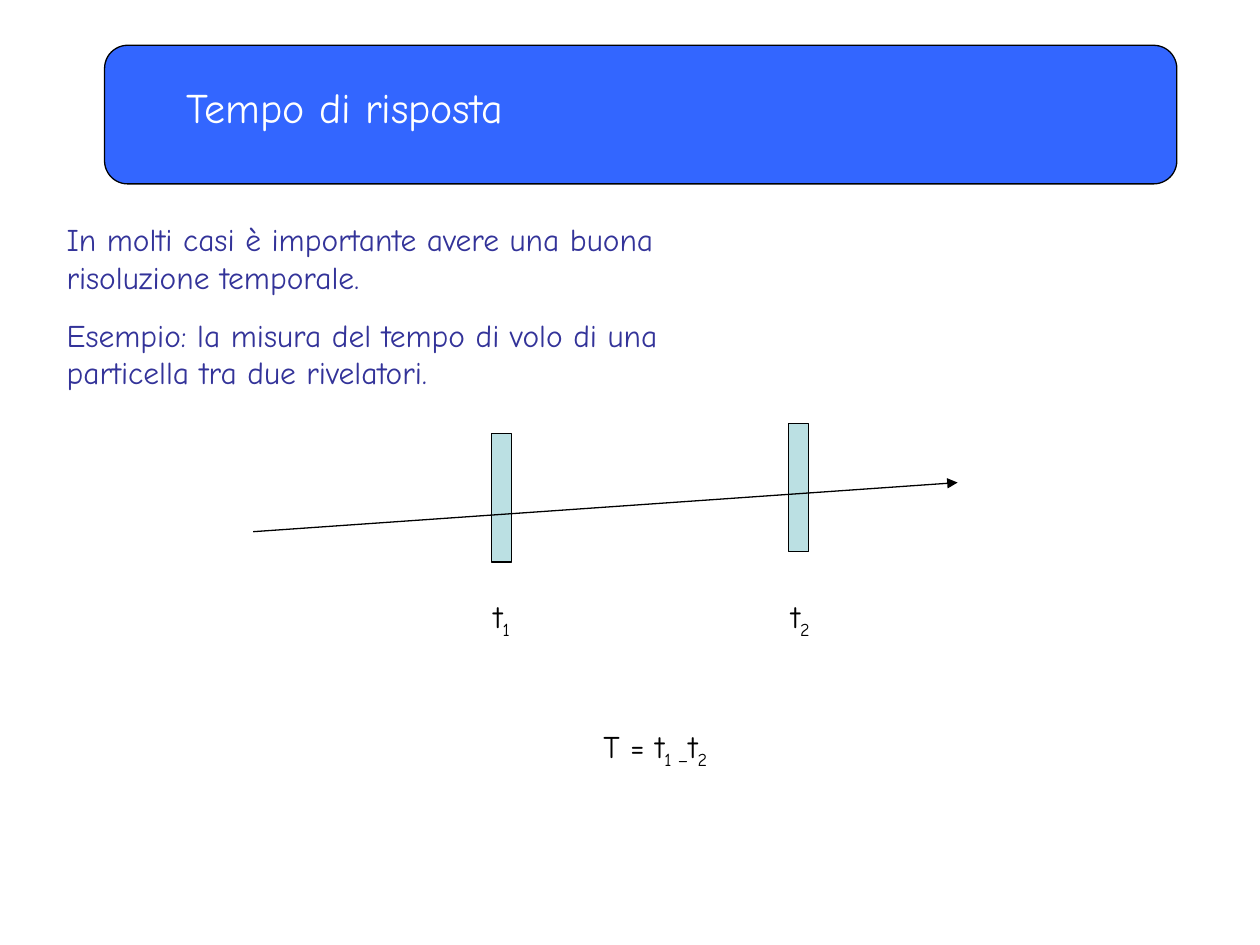
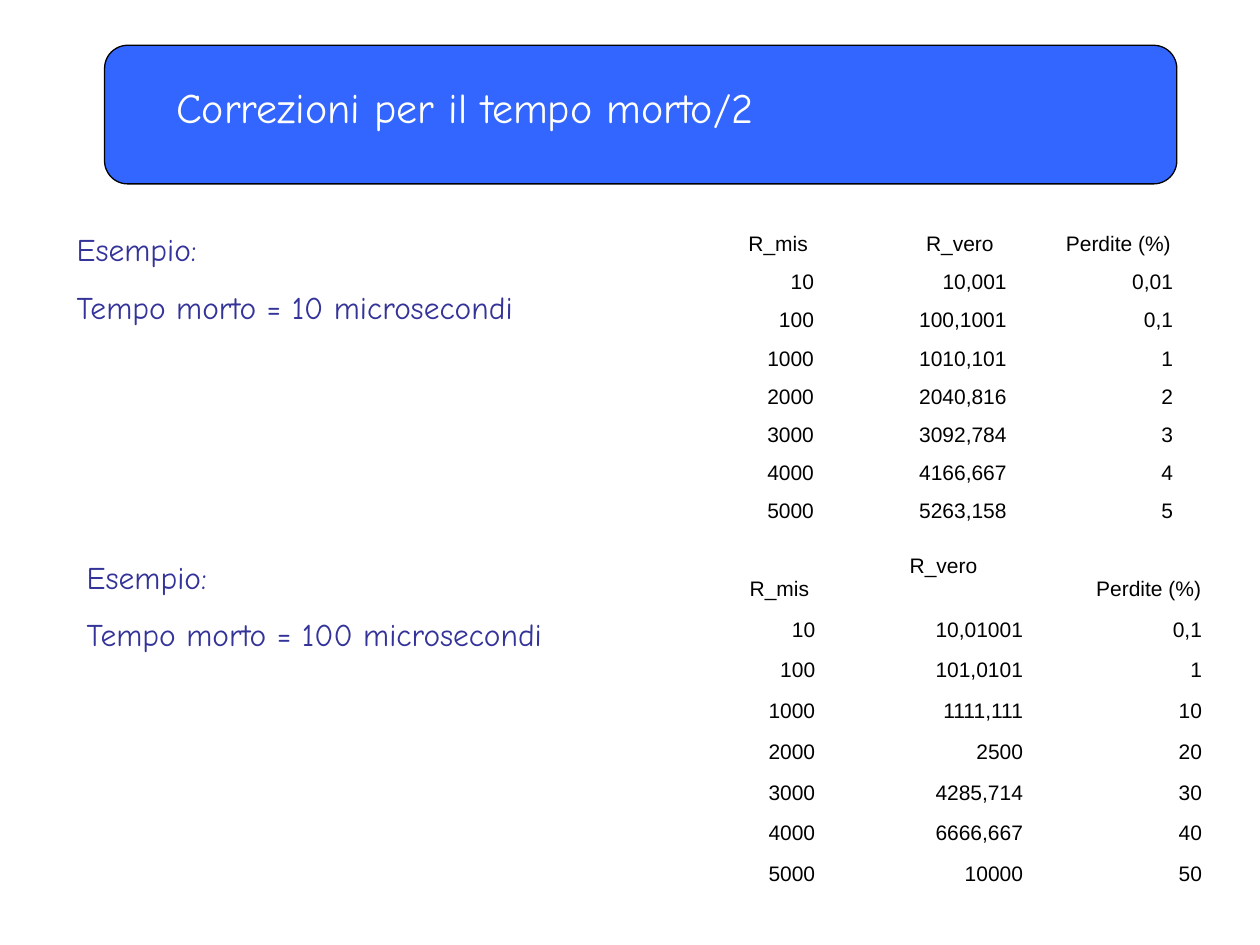
from dataclasses import dataclass

from lxml.etree import SubElement
from pptx import Presentation
from pptx.dml.color import RGBColor
from pptx.enum.shapes import MSO_CONNECTOR, MSO_SHAPE
from pptx.enum.text import MSO_ANCHOR, MSO_AUTO_SIZE, PP_ALIGN
from pptx.oxml.ns import qn
from pptx.util import Inches, Pt

WIDTH, HEIGHT = Inches(10), Inches(7.5)
COLUMN, ROW = WIDTH / 100, HEIGHT / 75

BAND_BLUE = RGBColor(0x33, 0x66, 0xFF)
TEXT_BLUE = RGBColor(0x33, 0x33, 0x99)
DETECTOR_TEAL = RGBColor(0xBB, 0xE0, 0xE3)
BLACK = RGBColor(0, 0, 0)
WHITE = RGBColor(0xFF, 0xFF, 0xFF)

TEXT_FONT, TABLE_FONT = "Comic Neue", "Arial"
SUBSCRIPT = "-25000"

MEASURED = ("10", "100", "1000", "2000", "3000", "4000", "5000")
HEADERS = ("R_mis", "R_vero", "Perdite (%)")


@dataclass
class Box:
    """A rectangle counted in grid columns and rows."""

    left: float
    top: float
    width: float
    height: float

    def inner(self, left, top, width, height):
        """Return a box placed relative to this one."""
        return Box(self.left + left, self.top + top, width, height)

    def lengths(self):
        """Return left, top, width and height as slide lengths."""
        return across(self.left), down(self.top), across(self.width), down(self.height)


def across(columns):
    """Convert grid columns to a length."""
    return round(columns * COLUMN)


def down(rows):
    """Convert grid rows to a length."""
    return round(rows * ROW)


def style_font(para, name, size, color):
    """Set the font shared by all runs of a paragraph."""
    para.font.name = name
    para.font.size = Pt(size)
    para.font.color.rgb = color


def add_text(page, box, paragraphs, size=18, color=BLACK):
    """Add a text box; each paragraph is a list of (text, is_subscript)."""
    frame = page.shapes.add_textbox(*box.lengths()).text_frame
    frame.word_wrap = True
    frame.auto_size = MSO_AUTO_SIZE.SHAPE_TO_FIT_TEXT
    for index, pieces in enumerate(paragraphs):
        para = frame.add_paragraph() if index else frame.paragraphs[0]
        if index:
            para.space_before = Pt(11.2)
        style_font(para, TEXT_FONT, size, color)
        for text, is_subscript in pieces:
            span = para.add_run()
            span.text = text
            if is_subscript:
                span._r.get_or_add_rPr().set("baseline", SUBSCRIPT)


def add_plain_text(page, box, lines, **style):
    """Add a text box with one unbroken run per paragraph."""
    add_text(page, box, [[(line, False)] for line in lines], **style)


def add_outlined(page, kind, box, color):
    """Add a filled shape with a thin black outline."""
    shape = page.shapes.add_shape(kind, *box.lengths())
    shape.shadow.inherit = False
    shape.fill.solid()
    shape.fill.fore_color.rgb = color
    shape.line.color.rgb = BLACK
    shape.line.width = Pt(0.75)
    return shape


def add_title_band(page, box, title, indent, width):
    """Draw the rounded title band with its title."""
    add_outlined(page, MSO_SHAPE.ROUNDED_RECTANGLE, box, BAND_BLUE)
    title_box = box.inner(indent, 2.4, width, 5)
    add_plain_text(page, title_box, [title], size=24, color=WHITE)


def add_track(page, box):
    """Draw the particle arrow from the lower left to the upper right."""
    left, top, width, height = box.lengths()
    track = page.shapes.add_connector(
        MSO_CONNECTOR.STRAIGHT, left, top + height, left + width, top)
    track.line.color.rgb = BLACK
    track.line.width = Pt(0.75)
    properties = track._element.spPr
    SubElement(properties.find(qn("a:ln")), qn("a:tailEnd"), type="triangle")
    SubElement(properties, qn("a:effectLst"))


def add_flight_diagram(page, box):
    """Draw two detectors, the particle track and the flight time."""
    detectors = (("1", 18.9, 0.8), ("2", 42.5, 0))
    for _, left, top in detectors:
        add_outlined(page, MSO_SHAPE.RECTANGLE,
                     box.inner(left, top, 1.6, 10.2), DETECTOR_TEAL)
    add_track(page, box.inner(0, 4.7, box.width, 3.9))
    for number, left, _ in detectors:
        add_text(page, box.inner(left - 0.8, 13.3, 4.7, 4.4),
                 [[("t", False), (number, True)]])
    add_text(page, box.inner(26.8, 23.6, 19.7, 9.4),
             [[("T = t", False), ("1 –", True), ("t", False), ("2", True)]])


def fill_cell(cell, text):
    """Write one transparent, bottom-anchored table cell."""
    cell.fill.background()
    cell.vertical_anchor = MSO_ANCHOR.BOTTOM
    para = cell.text_frame.paragraphs[0]
    para.text = text
    para.line_spacing = 0.93
    para.alignment = PP_ALIGN.RIGHT
    style_font(para, TABLE_FONT, 12, BLACK)


def add_rate_table(page, box, widths, header_height, indents, true_rates, losses):
    """Add a table of measured rates, true rates and losses."""
    rows = [HEADERS, *zip(MEASURED, true_rates, losses)]
    table = page.shapes.add_table(len(rows), len(HEADERS), *box.lengths()).table
    table.first_row = table.horz_banding = False
    for column, width in zip(table.columns, widths):
        column.width = across(width)
    body_height = (box.height - header_height) / len(MEASURED)
    for index, values in enumerate(rows):
        table.rows[index].height = down(body_height if index else header_height)
        for column, text in enumerate(values):
            fill_cell(table.cell(index, column), text)
    for column, indent in enumerate(indents):
        header = table.cell(0, column)
        header.margin_left = across(indent)
        header.margin_right = across(0.2)
        header.text_frame.paragraphs[0].alignment = PP_ALIGN.LEFT
    return table


def add_example(page, box, dead_time):
    """State the dead time of one example."""
    add_plain_text(page, box, ["Esempio:", f"Tempo morto = {dead_time} microsecondi"],
                   color=TEXT_BLUE)


def build_response_slide(page, band):
    """Build the slide on response time."""
    add_title_band(page, band, "Tempo di risposta", 5.5, 51.2)
    add_plain_text(page, Box(4.3, 17, 57.5, 19.2), [
        "In molti casi è importante avere una buona risoluzione temporale.",
        "Esempio: la misura del tempo di volo di una particella tra due rivelatori.",
    ], color=TEXT_BLUE)
    add_flight_diagram(page, Box(20.1, 33.6, 55.9, 33))


def build_dead_time_slide(page, band):
    """Build the slide with the two dead time examples."""
    add_title_band(page, band, "Correzioni per il tempo morto/2", 4.7, 55.1)
    add_example(page, Box(5.1, 17.8, 41.7, 8.6), 10)
    add_example(page, Box(5.9, 43.8, 41.7, 8.6), 100)
    long_table = add_rate_table(
        page, Box(51.6, 43, 44.8, 27.8), (14.1, 16.5, 14.2), 5.2, (7.9, 6.5, 4.8),
        ("10,01001", "101,0101", "1111,111", "2500", "4285,714", "6666,667", "10000"),
        ("0,1", "1", "10", "20", "30", "40", "50"))
    long_table.cell(0, 1).margin_bottom = down(2.3)
    add_rate_table(
        page, Box(52.4, 17.8, 41.7, 24.2), (13.2, 15.3, 13.2), 3.03, (7, 7.9, 3.7),
        ("10,001", "100,1001", "1010,101", "2040,816", "3092,784", "4166,667", "5263,158"),
        ("0,01", "0,1", "1", "2", "3", "4", "5"))


def main():
    """Build and save the deck."""
    deck = Presentation()
    deck.slide_width, deck.slide_height = WIDTH, HEIGHT
    band = Box(8.3, 3.6, 85.1, 11)
    for build in (build_response_slide, build_dead_time_slide):
        build(deck.slides.add_slide(deck.slide_layouts[6]), band)
    deck.save("out.pptx")


if __name__ == "__main__":
    main()
